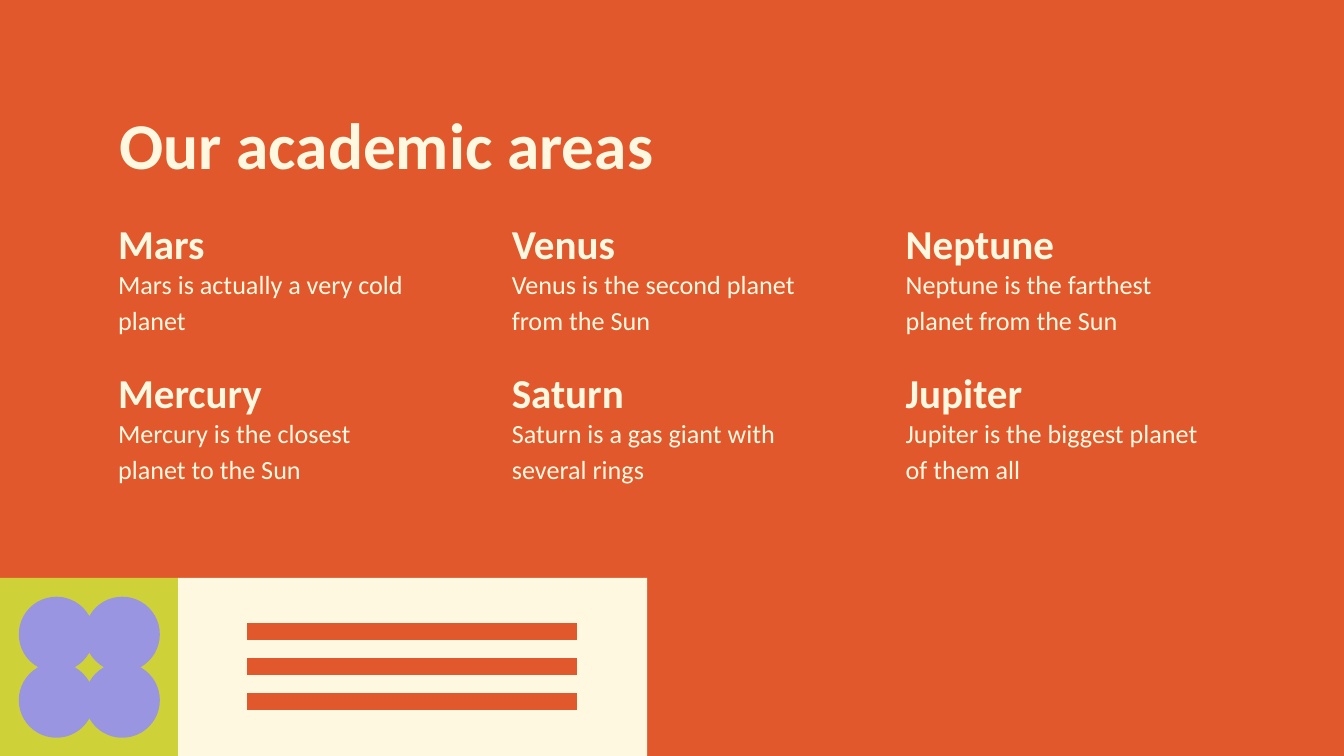
from dataclasses import dataclass
from itertools import product

from lxml.etree import SubElement
from pptx import Presentation
from pptx.dml.color import RGBColor
from pptx.enum.shapes import MSO_CONNECTOR, MSO_SHAPE
from pptx.enum.text import MSO_ANCHOR
from pptx.oxml.ns import qn
from pptx.util import Inches, Pt


@dataclass(frozen=True)
class Theme:
    font: str = "Calibri"
    orange: RGBColor = RGBColor.from_string("E1582C")
    cream: RGBColor = RGBColor.from_string("FFF8E1")
    lime: RGBColor = RGBColor.from_string("CFD139")
    lilac: RGBColor = RGBColor.from_string("9A95E1")
    title_size: float = 35
    heading_size: float = 22
    body_size: float = 14
    line_spacing: float = 1.15
    stripe_width: float = 9


class SlideBuilder:
    """Draws on one slide, on square grid cells a hundredth of its width."""

    COLUMNS = 100

    def __init__(self, deck, theme):
        self.theme = theme
        self.cell = deck.slide_width / self.COLUMNS
        self.slide = deck.slides.add_slide(deck.slide_layouts[6])
        background = self.slide.background.fill
        background.solid()
        background.fore_color.rgb = theme.orange

    def grid(self, *cells):
        return [round(count * self.cell) for count in cells]

    def text(self, words, left, top, width, height, size,
             bold=False, anchor=MSO_ANCHOR.TOP):
        box = self.slide.shapes.add_textbox(*self.grid(left, top, width, height))
        frame = box.text_frame
        frame.word_wrap = True
        frame.vertical_anchor = anchor
        frame.margin_left = frame.margin_right = Inches(0.1)
        frame.margin_top = frame.margin_bottom = Inches(0.1)
        para = frame.paragraphs[0]
        para.line_spacing = self.theme.line_spacing
        span = para.add_run()
        span.text = words
        span.font.name = self.theme.font
        span.font.size = Pt(size)
        span.font.bold = bold
        span.font.color.rgb = self.theme.cream

    def shape(self, kind, left, top, width, height, color):
        shape = self.slide.shapes.add_shape(
            kind, *self.grid(left, top, width, height))
        shape.shadow.inherit = False
        shape.fill.solid()
        shape.fill.fore_color.rgb = color
        shape.line.fill.background()

    def stripe(self, left, right, row):
        line = self.slide.shapes.add_connector(
            MSO_CONNECTOR.STRAIGHT, *self.grid(left, row, right, row))
        line.line.color.rgb = self.theme.orange
        line.line.width = Pt(self.theme.stripe_width)
        SubElement(line._element.spPr, qn("a:effectLst"))

    def area(self, name, description, left, top):
        """Heading that sits on top of its description."""
        self.text(name, left, top, 24.1, 4.7, self.theme.heading_size,
                  bold=True, anchor=MSO_ANCHOR.BOTTOM)
        self.text(description, left, top + 2.4, 24.1, 6.8, self.theme.body_size)


AREAS = [
    [("Mars", "Mars is actually a very cold planet"),
     ("Venus", "Venus is the second planet from the Sun"),
     ("Neptune", "Neptune is the farthest planet from the Sun")],
    [("Mercury", "Mercury is the closest planet to the Sun"),
     ("Saturn", "Saturn is a gas giant with several rings"),
     ("Jupiter", "Jupiter is the biggest planet of them all")],
]


def main():
    deck = Presentation()
    deck.slide_width = Inches(10)
    deck.slide_height = deck.slide_width * 9 // 16
    theme = Theme()
    builder = SlideBuilder(deck, theme)

    builder.text("Our academic areas", 7.9, 5.9, 84.3, 6.3,
                 theme.title_size, bold=True)
    for row, areas in enumerate(AREAS):
        for column, (name, description) in enumerate(areas):
            builder.area(name, description, 7.8 + 29.3 * column, 16.2 + 11.1 * row)

    band_top, tile = 43, 13.25
    builder.shape(MSO_SHAPE.RECTANGLE, tile, band_top, 34.9, tile, theme.cream)
    for index in range(3):
        builder.stripe(18.4, 42.9, band_top + 4 + 2.6 * index)

    builder.shape(MSO_SHAPE.RECTANGLE, 0, band_top, tile, tile, theme.lime)
    for row, column in product(range(2), repeat=2):
        builder.shape(MSO_SHAPE.OVAL, 1.4 + 4.9 * column,
                      band_top + 1.4 + 4.9 * row, 5.6, 5.6, theme.lilac)

    deck.save("out.pptx")


if __name__ == "__main__":
    main()
